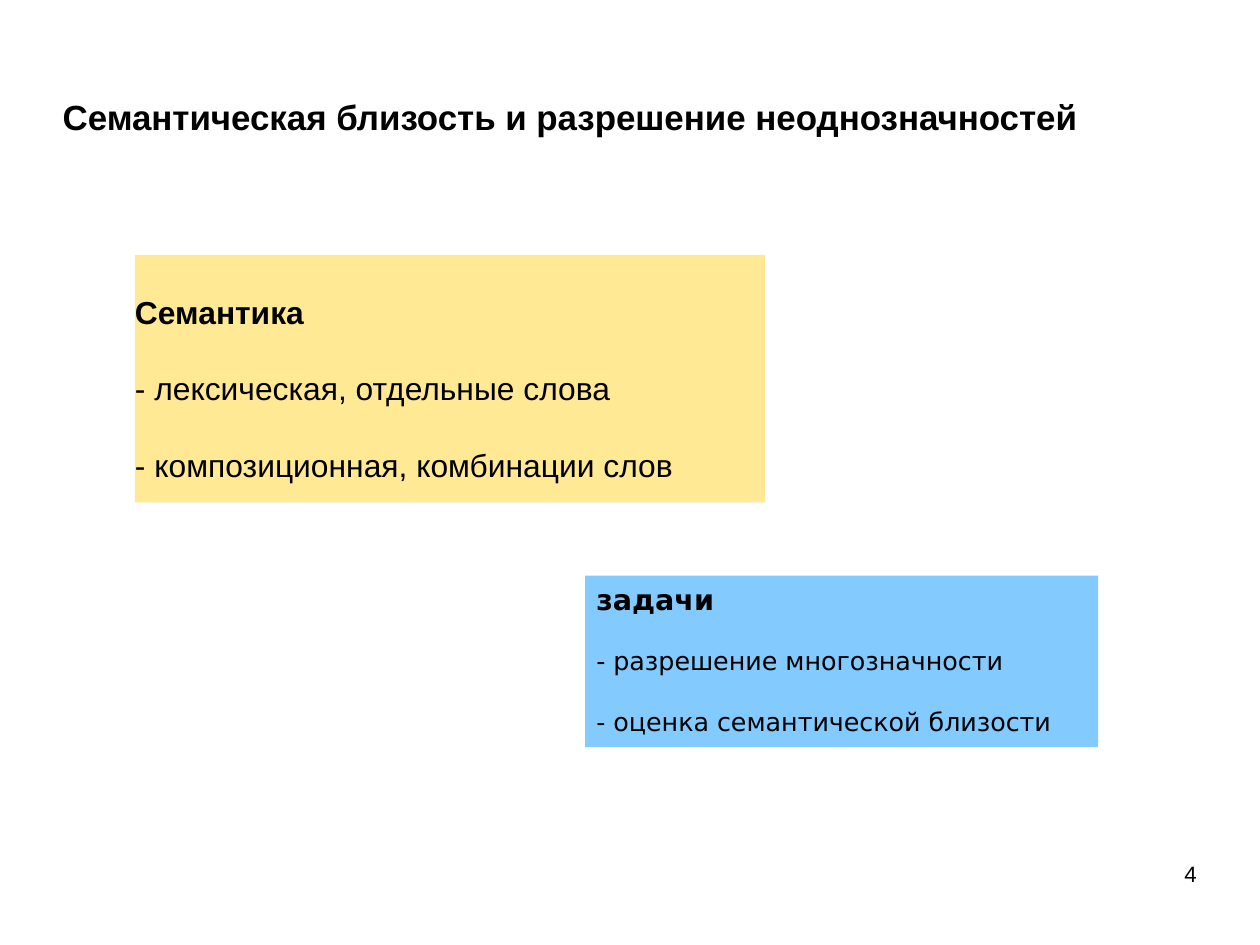
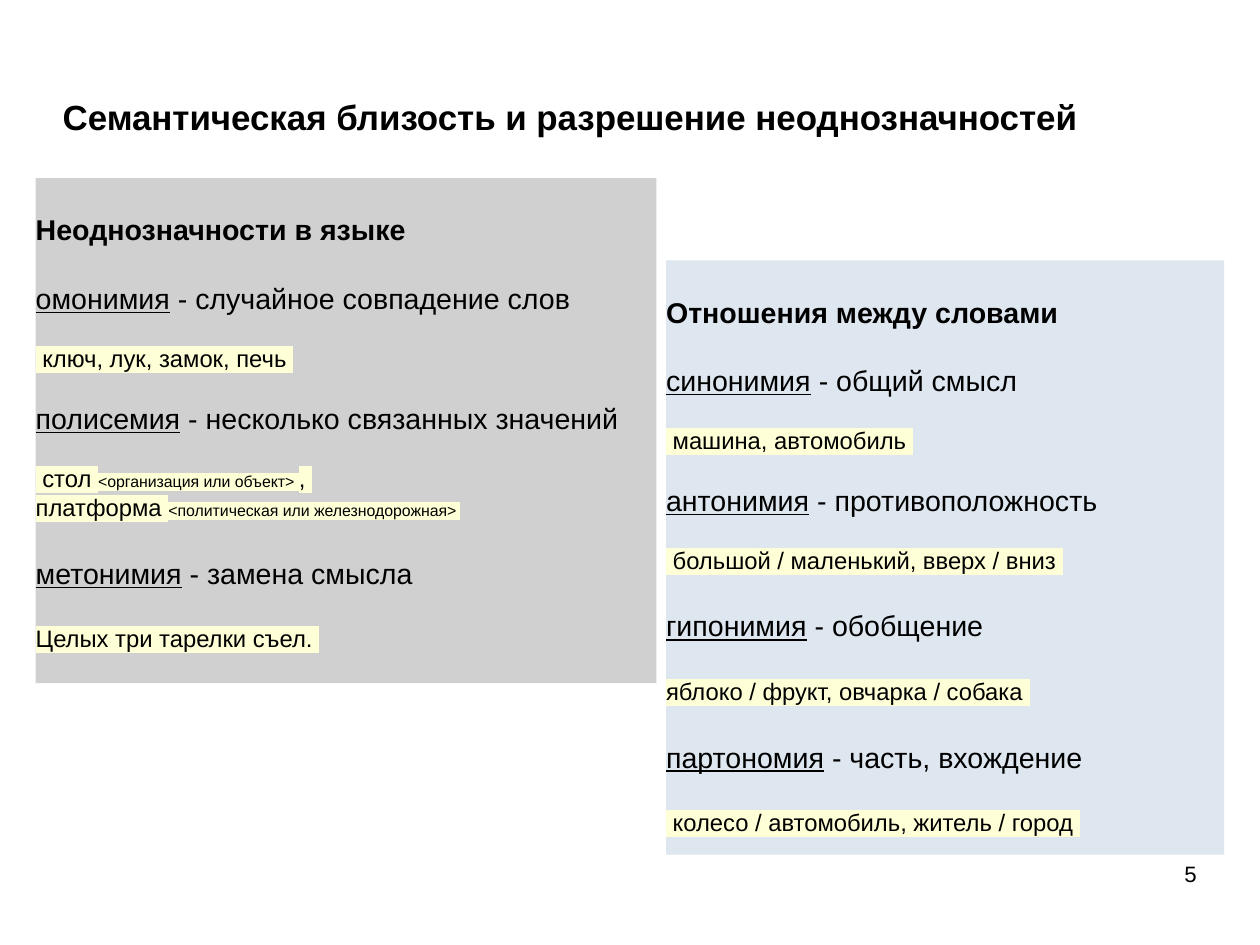
"""Build two slides on semantic similarity and ambiguity resolution."""
import pptx
import pptx.dml.color
import pptx.enum.shapes
import pptx.enum.text
import pptx.oxml
import pptx.oxml.ns
import pptx.util

Pt = pptx.util.Pt
ALIGN = pptx.enum.text.PP_ALIGN
ANCHOR = pptx.enum.text.MSO_ANCHOR
TITLE = "Семантическая близость и разрешение неоднозначностей"
COLORS = {
    "text": "000000",
    "mark": "FFFFD7",
    "yellow": "FFE994",
    "blue": "83CAFF",
    "gray": "D0D0D0",
    "pale": "DEE6EF",
}
STYLES = {
    "title": {"size": 22, "bold": True},
    "number": {"size": 14},
    "big_head": {"size": 20, "bold": True},
    "big": {"size": 20},
    "task_head": {"size": 18, "bold": True, "font": "DejaVu Sans"},
    "task": {"size": 16, "font": "DejaVu Sans"},
    "head": {"size": 18, "bold": True},
    "term": {"size": 18, "underline": True},
    "body": {"size": 18},
    "sample": {"size": 15, "mark": True},
    "note": {"size": 10, "mark": True},
}
BIG, WIDE, TASK, NARROW, LINE = 24, 21.5, 18.7, 18, 0.5


class Deck:
    """Hold the shared style and the current slide."""

    def __init__(self):
        self.prs = pptx.Presentation()
        self.prs.slide_width, self.prs.slide_height = Pt(793.7), Pt(595.28)
        self.s = None

    def slide(self, number):
        self.s = self.prs.slides.add_slide(self.prs.slide_layouts[6])
        self.label((39.5, 58, 674.5, 31), TITLE, "title", anchor=ANCHOR.MIDDLE)
        self.label((568.8, 542, 185, 41), str(number), "number", align=ALIGN.RIGHT)

    def label(self, box, text, style, align=ALIGN.LEFT, anchor=ANCHOR.TOP):
        sp = self.s.shapes.add_textbox(*map(Pt, box))
        self.fill_text(sp, [(0, [(text, style)])], (0, 0), align, anchor)

    def panel(self, box, color, paragraphs, top=WIDE, side=0):
        rect = pptx.enum.shapes.MSO_SHAPE.RECTANGLE
        sp = self.s.shapes.add_shape(rect, *map(Pt, box))
        sp.shadow.inherit = False
        sp.fill.solid()
        sp.fill.fore_color.rgb = self.rgb(color)
        sp.line.fill.background()
        self.fill_text(sp, paragraphs, (top, side))

    def fill_text(self, sp, paragraphs, insets, align=ALIGN.LEFT, anchor=ANCHOR.TOP):
        tf = sp.text_frame
        tf.word_wrap = True
        tf.vertical_anchor = anchor
        tf.margin_top, tf.margin_bottom = Pt(insets[0]), 0
        tf.margin_left = tf.margin_right = Pt(insets[1])
        for i, (gap, runs) in enumerate(paragraphs):
            p = tf.add_paragraph() if i else tf.paragraphs[0]
            p.alignment = align
            if gap:
                p.space_before = Pt(gap)
            for text, style in runs:
                self.run(p, text, **STYLES[style])

    def run(self, p, text, size, bold=False, underline=False, mark=False, font="Arial"):
        r = p.add_run()
        r.text = text
        r.font.size, r.font.bold = Pt(size), bold
        r.font.underline = underline
        r.font.color.rgb = self.rgb("text")
        if mark:
            ns = pptx.oxml.ns.nsdecls("a")
            r.font._element.append(pptx.oxml.parse_xml(
                f'<a:highlight {ns}><a:srgbClr val="{COLORS["mark"]}"/></a:highlight>'))
        r.font.name = font

    def rgb(self, name):
        return pptx.dml.color.RGBColor.from_string(COLORS[name])


def entry(gap, term, meaning):
    return gap, [(term, "term"), (" - " + meaning, "body")]


def sample(gap, text):
    return gap, [(text, "sample")]


def main():
    deck = Deck()

    deck.slide(4)
    deck.panel((85, 160.5, 397, 156), "yellow", [
        (0, [("Семантика", "big_head")]),
        (BIG, [("- лексическая, отдельные слова", "big")]),
        (BIG, [("- композиционная, комбинации слов", "big")]),
    ], top=BIG)
    deck.panel((368.5, 362.6, 323.3, 108), "blue", [
        (0, [("задачи", "task_head")]),
        (TASK, [("- разрешение многозначности", "task")]),
        (TASK, [("- оценка семантической близости", "task")]),
    ], top=3.8, side=7.2)

    deck.slide(5)
    deck.panel((22.5, 112.3, 391, 318), "gray", [
        (0, [("Неоднозначности в языке", "head")]),
        entry(WIDE, "омонимия", "случайное совпадение слов"),
        sample(NARROW, " ключ, лук, замок, печь "),
        entry(NARROW, "полисемия", "несколько связанных значений"),
        (NARROW, [(" стол ", "sample"), ("<организация или объект> ", "note"),
                  (", ", "sample")]),
        (LINE, [("платформа ", "sample"),
                ("<политическая или железнодорожная> ", "note")]),
        entry(WIDE, "метонимия", "замена смысла"),
        sample(WIDE, "Целых три тарелки съел. "),
    ])
    deck.panel((419.6, 164, 351.5, 374.4), "pale", [
        (0, [("Отношения между словами", "head")]),
        entry(WIDE, "синонимия", "общий смысл"),
        sample(NARROW, " машина, автомобиль "),
        entry(NARROW, "антонимия", "противоположность"),
        sample(NARROW, " большой / маленький, вверх / вниз "),
        entry(WIDE, "гипонимия", "обобщение"),
        sample(WIDE, "яблоко / фрукт, овчарка / собака "),
        entry(WIDE, "партономия", "часть, вхождение"),
        sample(WIDE, " колесо / автомобиль, житель / город "),
    ])

    deck.prs.save("out.pptx")


if __name__ == "__main__":
    main()
